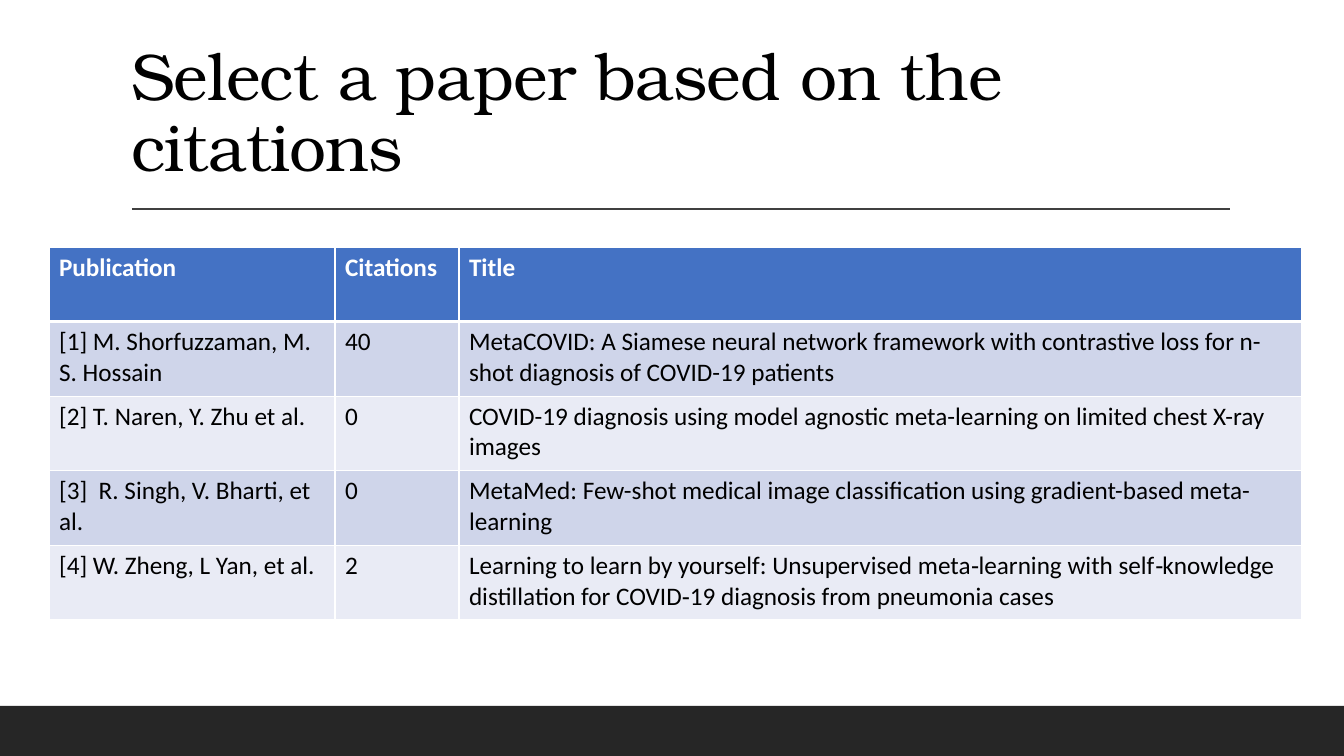
"""Build the slide that compares papers by citation count."""
from dataclasses import dataclass

from lxml.etree import SubElement
from pptx import Presentation
from pptx.dml.color import RGBColor
from pptx.enum.shapes import MSO_CONNECTOR, MSO_SHAPE
from pptx.enum.text import MSO_ANCHOR, MSO_AUTO_SIZE, PP_ALIGN
from pptx.oxml.ns import qn
from pptx.util import Pt

TITLE = "Select a paper based on the citations"
HEADER = ("Publication", "Citations", "Title")
PAPERS = [
    ("[1] M. Shorfuzzaman, Μ. S. Hossain", "40",
     "MetaCOVID: A Siamese neural network framework with contrastive loss "
     "for n-shot diagnosis of COVID-19 patients"),
    ("[2] T. Naren, Y. Zhu et al.", "0",
     "COVID-19 diagnosis using model agnostic meta-learning on limited "
     "chest X-ray images"),
    ("[3]  R. Singh, V. Bharti, et al.", "0",
     "MetaMed: Few-shot medical image classification using "
     "gradient-based meta-learning"),
    ("[4] W. Zheng, L Yan, et al.", "2",
     "Learning to learn by yourself: Unsupervised meta‐learning with "
     "self‐knowledge distillation for COVID‐19 diagnosis from pneumonia cases"),
]

SLIDE_SIZE = (1344, 756)
TITLE_BOX = (121, 31, 1109, 160)
RULE = (132, 209, 1230, 209)
FOOTER_BAR = (0, 706, 1344, 50)
TABLE_BOX = (49, 247, 1253, 373)
COLUMN_WIDTHS = (286, 124, 843)


@dataclass(frozen=True)
class Theme:
    """Colours, fonts and type sizes of the slide."""
    title_font: str = "TeX Gyre Bonum"
    body_font: str = "Calibri"
    title_size: int = 47
    body_size: int = 18
    text: str = "000000"
    white: str = "FFFFFF"
    header: str = "4472C4"
    bands: tuple = ("CFD5EA", "E9EBF5")
    rule: str = "404040"
    bar: str = "262626"
    thin: int = 1
    thick: int = 3


THEME = Theme()


def px(length):
    """Turn pixels into EMU."""
    return round(length * 914400 / 100.8)


def box(lengths):
    """Turn a tuple of pixel lengths into EMU."""
    return [px(length) for length in lengths]


def paint(fill, color):
    """Give a fill one solid colour."""
    fill.solid()
    fill.fore_color.rgb = RGBColor.from_string(color)


def add_run(paragraph, text, font_name, size, color, bold=False):
    """Add one formatted run."""
    run = paragraph.add_run()
    run.text = text
    run.font.name = font_name
    run.font.size = Pt(size)
    run.font.bold = bold
    run.font.color.rgb = RGBColor.from_string(color)
    return run


def add_title(slide):
    """Place and format the title placeholder."""
    title = slide.shapes.title
    title.left, title.top, title.width, title.height = box(TITLE_BOX)
    frame = title.text_frame
    frame.word_wrap = True
    frame.auto_size = MSO_AUTO_SIZE.NONE
    frame.vertical_anchor = MSO_ANCHOR.BOTTOM
    paragraph = frame.paragraphs[0]
    paragraph.alignment = PP_ALIGN.LEFT
    paragraph.line_spacing = 0.9
    run = add_run(paragraph, TITLE, THEME.title_font, THEME.title_size, THEME.text)
    run.font._element.set("spc", "-50")


def add_decoration(slide):
    """Draw the footer bar and the rule below the title."""
    bar = slide.shapes.add_shape(MSO_SHAPE.RECTANGLE, *box(FOOTER_BAR))
    bar.shadow.inherit = False
    paint(bar.fill, THEME.bar)
    bar.line.fill.background()
    rule = slide.shapes.add_connector(MSO_CONNECTOR.STRAIGHT, *box(RULE))
    rule.line.color.rgb = RGBColor.from_string(THEME.rule)
    rule.line.width = Pt(THEME.thin)
    SubElement(rule._element.spPr, qn("a:effectLst"))


def add_borders(cell, top, bottom):
    """Give a cell white borders, with thin sides."""
    properties = cell._tc.get_or_add_tcPr()
    widths = {"L": THEME.thin, "R": THEME.thin, "T": top, "B": bottom}
    for side, width in widths.items():
        line = SubElement(properties, qn(f"a:ln{side}"), w=str(Pt(width)))
        solid = SubElement(line, qn("a:solidFill"))
        SubElement(solid, qn("a:srgbClr"), val=THEME.white)


def add_paper_table(slide):
    """Add the table of papers."""
    rows = [HEADER, *PAPERS]
    table = slide.shapes.add_table(len(rows), len(HEADER), *box(TABLE_BOX)).table
    for column, width in zip(table.columns, COLUMN_WIDTHS):
        column.width = px(width)
    for row_index, texts in enumerate(rows):
        is_header = row_index == 0
        fill = THEME.header if is_header else THEME.bands[(row_index - 1) % 2]
        color = THEME.white if is_header else THEME.text
        top = THEME.thick if row_index == 1 else THEME.thin
        bottom = THEME.thick if is_header else THEME.thin
        for column_index, text in enumerate(texts):
            cell = table.cell(row_index, column_index)
            add_borders(cell, top, bottom)
            paint(cell.fill, fill)
            add_run(cell.text_frame.paragraphs[0], text, THEME.body_font,
                    THEME.body_size, color, is_header)


def main():
    """Build and save the presentation."""
    presentation = Presentation()
    presentation.slide_width, presentation.slide_height = box(SLIDE_SIZE)
    slide = presentation.slides.add_slide(presentation.slide_layouts[5])
    paint(slide.background.fill, THEME.white)
    add_decoration(slide)
    add_title(slide)
    add_paper_table(slide)
    presentation.save("out.pptx")


if __name__ == "__main__":
    main()
